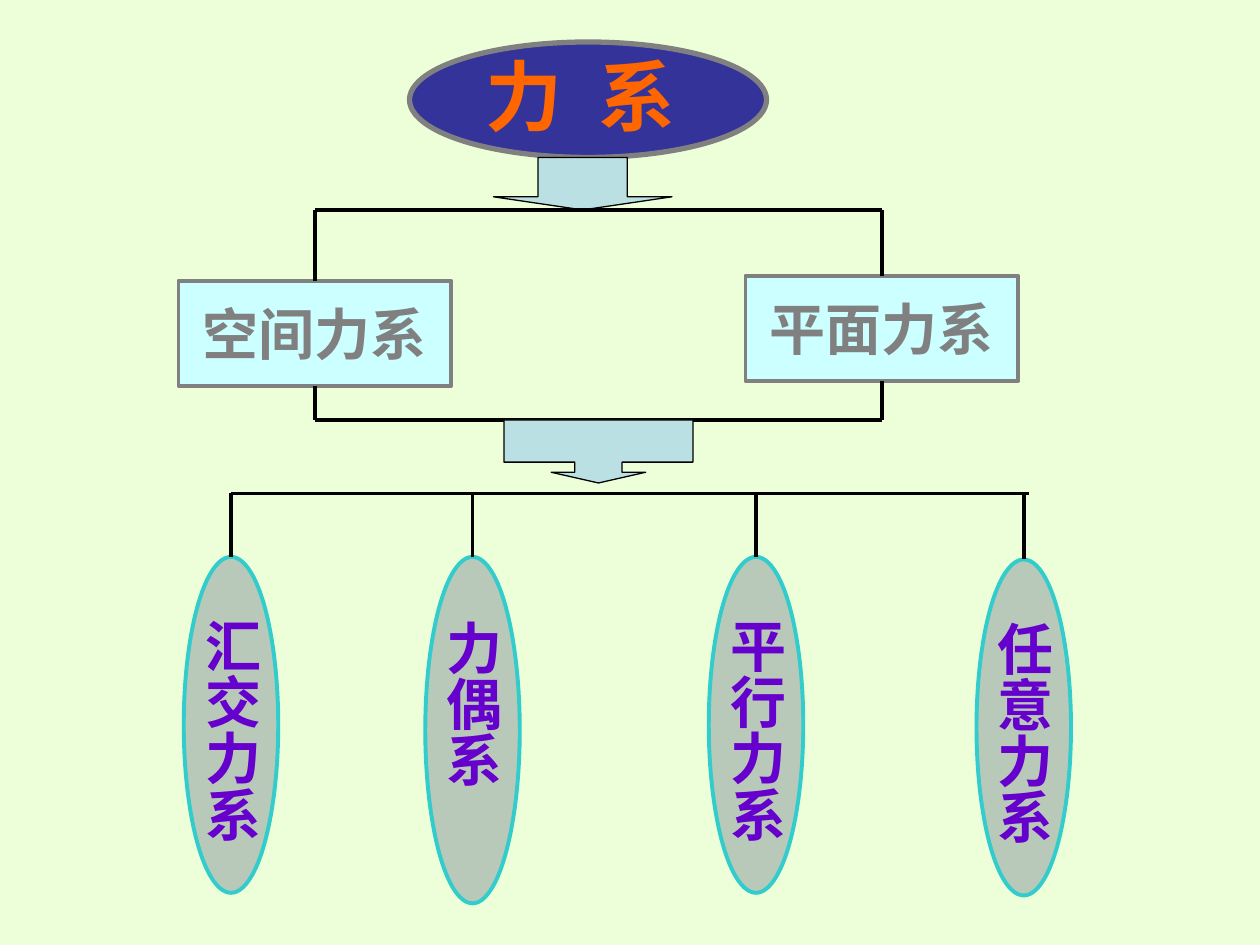
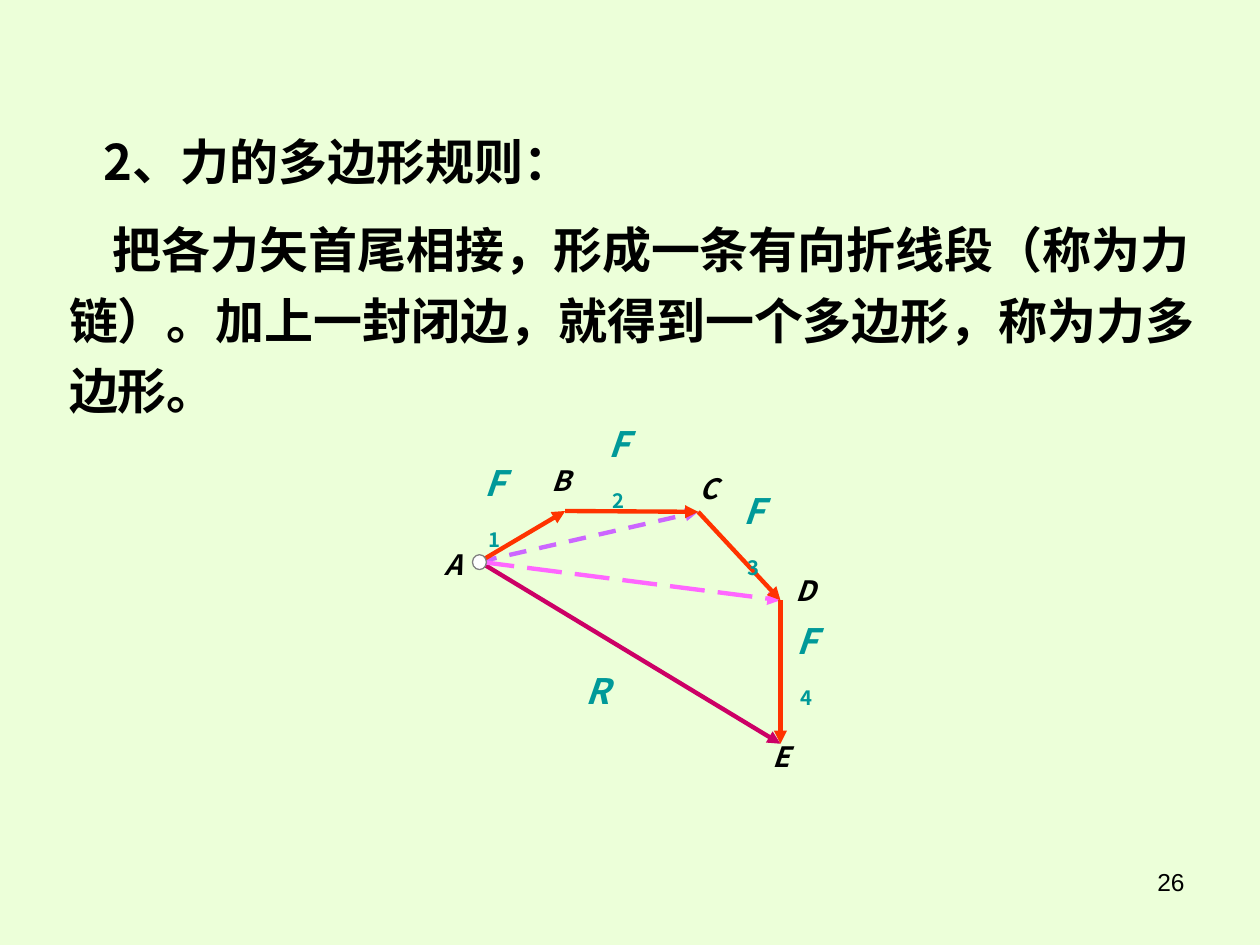
from dataclasses import dataclass

from pptx import Presentation
from pptx.dml.color import RGBColor as Rgb
from pptx.enum.dml import MSO_LINE as Dash
from pptx.enum.shapes import MSO_CONNECTOR as Link, MSO_SHAPE as Kind
from pptx.enum.text import MSO_ANCHOR as Anchor, MSO_AUTO_SIZE as Fit, PP_ALIGN as Align
from pptx.oxml.ns import qn
from pptx.oxml.xmlchemy import OxmlElement as Node
from pptx.util import Pt


@dataclass(frozen=True)
class Theme:
    page: str = "ECFFD9"
    black: str = "000000"
    white: str = "FFFFFF"
    gray: str = "808080"
    navy: str = "333399"
    orange: str = "FF6600"
    pale: str = "BBE0E3"
    ice: str = "CCFFFF"
    sage: str = "B9C9B9"
    cyan: str = "33CCCC"
    purple: str = "6600CC"
    teal: str = "009999"
    red: str = "FF3300"
    wine: str = "CC0066"
    violet: str = "CC66FF"
    pink: str = "FF66FF"
    serif: str = "Times New Roman"
    sans: str = "Arial"
    han: str = "Noto Sans CJK SC"
    huge: int = 44
    large: int = 32
    body: int = 28
    force: int = 20
    point: int = 16
    small: int = 14
    thin: float = 0.75
    bar: float = 2.25
    arrow: float = 2.5
    rim: float = 3


T = Theme()


def apply(item, values):
    for name, value in values.items():
        setattr(item, name, value)


def place(item, box):
    apply(item, dict(zip(("left", "top", "width", "height"), map(Pt, box))))


def add_run(para, text, size, color, face=T.han, bold=True, italic=False):
    run = para.add_run()
    run.text = text
    apply(run.font, {"size": Pt(size), "name": face, "bold": bold, "italic": italic})
    run.font.color.rgb = Rgb.from_string(color)
    han = Node("a:ea")
    han.set("typeface", T.han)
    run.font._element.find(qn("a:latin")).addnext(han)
    return run


def set_frame(item, align=Align.LEFT, anchor=Anchor.TOP, wrap=True, pads=(7.2, 3.6)):
    frame = item.text_frame
    side, top = map(Pt, pads)
    apply(frame, {
        "auto_size": Fit.NONE, "word_wrap": wrap, "vertical_anchor": anchor,
        "margin_left": side, "margin_right": side,
        "margin_top": top, "margin_bottom": top,
    })
    para = frame.paragraphs[0]
    para.alignment = align
    return para


def add_text(slide, box, **format):
    return set_frame(slide.shapes.add_textbox(*map(Pt, box)), **format)


def set_title(slide, box, text, size, color, face, align):
    title = slide.shapes.title
    place(title, box)
    run = add_run(set_frame(title, align), text, size, color, face)
    slide.shapes._spTree.append(title._element)
    return run


def add_form(slide, kind, box, fill, edge, width, adjust=()):
    form = slide.shapes.add_shape(kind, *map(Pt, box))
    form.shadow.inherit = False
    form.fill.solid()
    form.fill.fore_color.rgb = Rgb.from_string(fill)
    form.line.color.rgb = Rgb.from_string(edge)
    form.line.width = Pt(width)
    for index, value in enumerate(adjust):
        form.adjustments[index] = value
    return form


def add_line(slide, start, end, color=T.black, width=T.bar):
    line = slide.shapes.add_connector(Link.STRAIGHT, *map(Pt, (*start, *end)))
    line.line.color.rgb = Rgb.from_string(color)
    line.line.width = Pt(width)
    line._element.spPr.append(Node("a:effectLst"))
    return line


def add_arrow(slide, start, end, color, dash=None):
    line = add_line(slide, start, end, color, T.arrow)
    if dash:
        line.line.dash_style = dash
    head = Node("a:tailEnd")
    head.set("type", "triangle")
    line.get_or_add_ln().append(head)


def add_card(slide, mid, top, text):
    card = add_form(slide, Kind.RECTANGLE, (mid - 78, top, 156, 60), T.ice, T.gray, T.bar)
    para = set_frame(card, Align.CENTER, Anchor.MIDDLE, False)
    add_run(para, text, T.large, T.gray, T.serif)
    return card


def add_leaf(slide, mid, top, high, text):
    leaf = add_form(slide, Kind.OVAL, (mid - 27, top, 54, high), T.sage, T.cyan, T.bar)
    para = set_frame(leaf, Align.CENTER, Anchor.MIDDLE, False, (3.6, 7.2))
    leaf.text_frame._txBody.bodyPr.set("vert", "eaVert")
    add_run(para, text, T.large, T.purple, T.serif)
    return leaf


def add_tag(slide, box, text, size, color, sub=""):
    para = add_text(slide, box, align=Align.CENTER, anchor=Anchor.MIDDLE, wrap=bool(sub))
    add_run(para, text, size, color, italic=True)
    if sub:
        run = add_run(para, sub, size, color)
        run.font._element.set("baseline", "-25000")


def build_tree(slide):
    leaves = [add_leaf(slide, *leaf) for leaf in (
        (132, 318.2, 192, "汇交力系"),
        (270, 318.2, 198, "力偶系"),
        (432, 318.2, 192, "平行力系"),
        (585, 319.7, 192, "任意力系"),
    )]
    add_form(slide, Kind.OVAL, (234, 24, 204, 66), T.navy, T.gray, T.rim)
    run = set_title(slide, (270, 24, 132, 113), "力 系", T.huge, T.orange, T.serif, Align.LEFT)
    run.font._element.set("spc", "550")
    add_form(slide, Kind.DOWN_ARROW, (282, 90, 102, 30), T.pale, T.black, T.thin, (0.5, 0.25))

    cards = [add_card(slide, 504, 157.7, "平面力系"), add_card(slide, 180, 160.5, "空间力系")]
    for level, side in ((120, 0), (240, 2)):
        add_line(slide, (180, level), (504, level))
        for card, mid in zip(cards, (504, 180)):
            add_line(slide, (mid, level), (mid, level)).end_connect(card, side)

    add_line(slide, (132, 282), (588, 282))
    for leaf, mid in zip(leaves, (132, 270, 432, 585)):
        add_line(slide, (mid, 282), (mid, 318)).end_connect(leaf, 0)
    add_form(slide, Kind.DOWN_ARROW_CALLOUT, (288, 240, 108, 36), T.pale, T.black, T.thin,
             (0.75, 0.75, 0.17, 0.67))


def build_chain(slide):
    page = add_text(slide, (516, 492, 168, 37), align=Align.RIGHT)
    add_run(page, "26", T.small, T.black, T.sans, False)

    rule = add_text(slide, (32.4, 115.2, 657.4, 155.5))
    rule.line_spacing = 1.2
    rule._p.get_or_add_pPr().set("indent", str(Pt(25)))
    add_run(rule, "把各力矢首尾相接，形成一条有向折线段（称为力链）。", T.body, T.black)
    add_run(rule, "加上一封闭边，就得到一个多边形，称为力多边形。", T.body, T.black, T.sans)
    set_title(slide, (38, 71.3, 310, 41), "2、力的多边形规则：", T.body, T.black, T.han, Align.CENTER)

    spots = {"A": (274, 321), "B": (323, 292), "C": (399, 292.5),
             "D": (446, 343), "E": (446, 425)}
    for ends, color, dash in (
        ("AE", T.wine, None), ("AC", T.violet, Dash.DASH), ("AD", T.pink, Dash.LONG_DASH),
        ("AB", T.red, None), ("BC", T.red, None), ("CD", T.red, None), ("DE", T.red, None),
    ):
        start, end = ends
        add_arrow(slide, spots[start], spots[end], color, dash)

    for name, left, top in (("A", 247, 309), ("B", 308.2, 261.4), ("C", 393, 265.7),
                            ("D", 448, 324), ("E", 434, 419)):
        add_tag(slide, (left, top, 24.5, 26.6), name, T.point, T.black)
    for sub, left, top in (("1", 267, 272.2), ("2", 337.7, 249.8),
                           ("3", 414.7, 288), ("4", 445, 362.2)):
        add_tag(slide, (left, top, 31.7, 34.6), "F", T.force, T.teal, sub)
    add_tag(slide, (328.3, 378.7, 26.6, 31.7), "R", T.force, T.teal)
    add_form(slide, Kind.OVAL, (270, 317, 8, 8.5), T.white, T.gray, T.thin)


def main():
    deck = Presentation()
    apply(deck, {"slide_width": Pt(720), "slide_height": Pt(540)})
    back = deck.slide_master.background.fill
    back.solid()
    back.fore_color.rgb = Rgb.from_string(T.page)
    for build in (build_tree, build_chain):
        build(deck.slides.add_slide(deck.slide_layouts[5]))
    deck.save("out.pptx")


if __name__ == "__main__":
    main()
